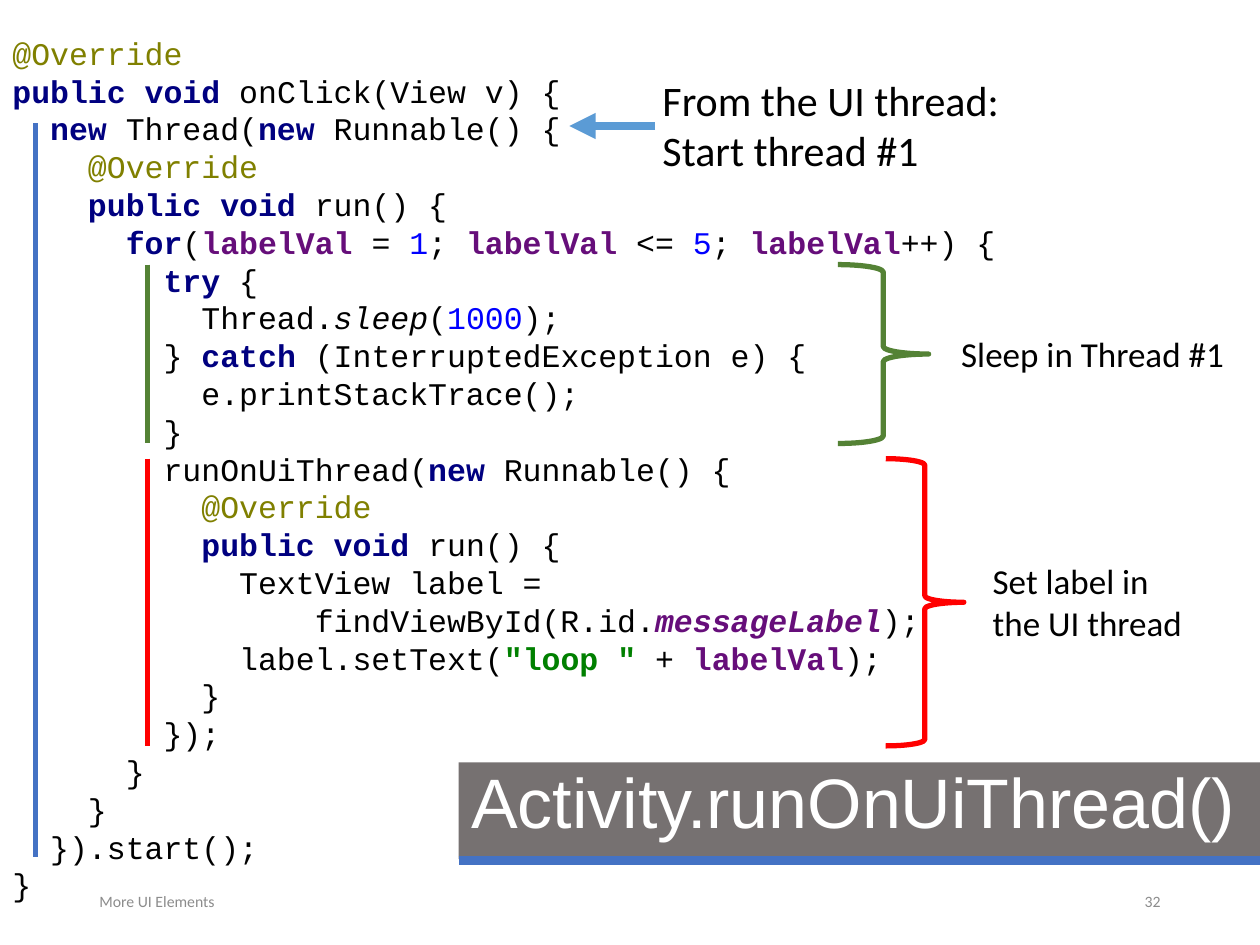
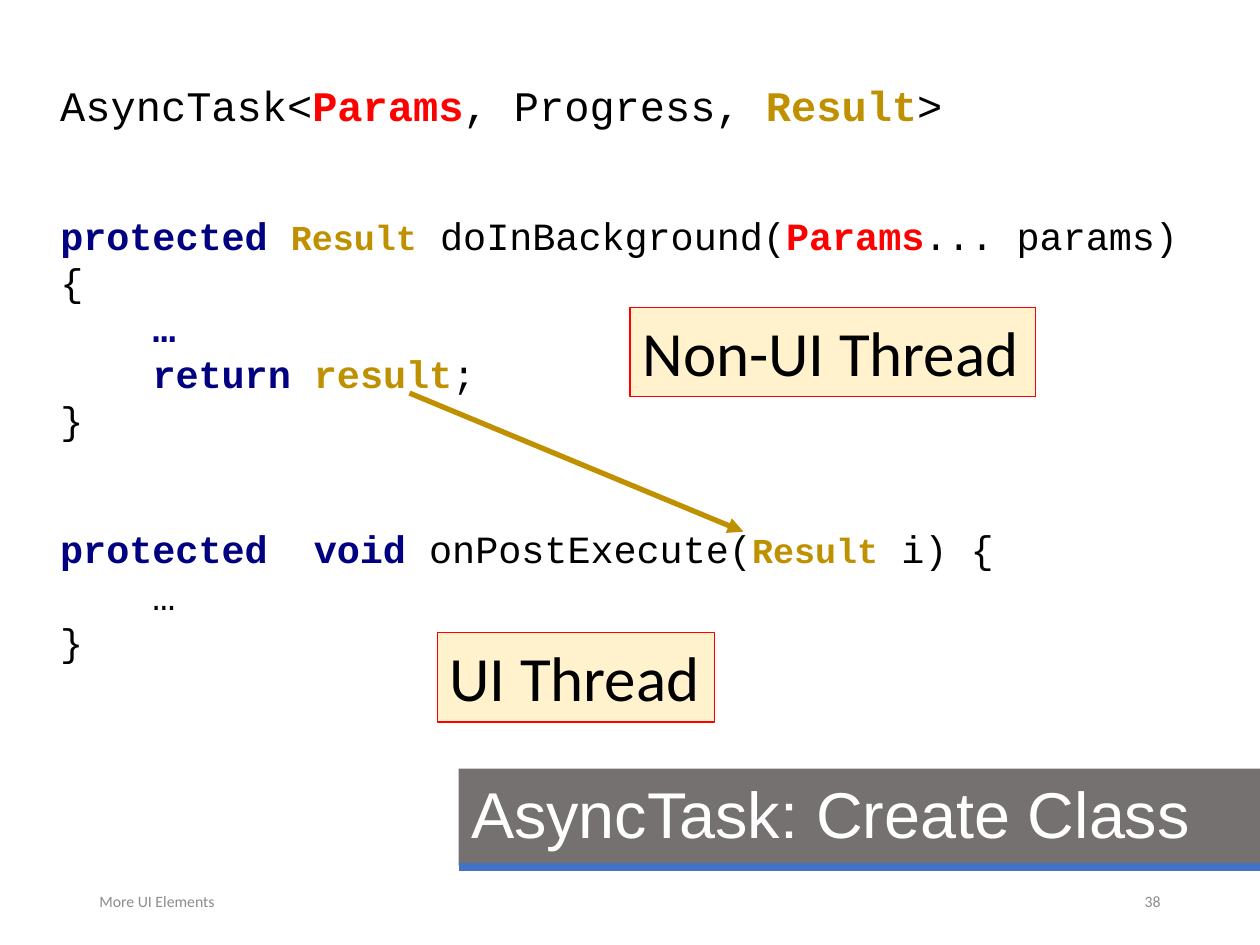
from pptx import Presentation
from pptx import util as u
from pptx.dml.color import RGBColor
from pptx.enum import shapes, text
from pptx.oxml.ns import qn
from lxml import etree

BLACK, WHITE, GREY = "000000", "FFFFFF", "8C8C8C"
BAND, BLUE, ARROW = "767171", "4472C4", "5B9BD5"
GREEN, RED, GOLD, CREAM = "548235", "FF0000", "BF9000", "FFF2CC"

SYNTAX = {
    "a": dict(color="808000"),
    "k": dict(color="000080", bold=True),
    "f": dict(color="660E7A", bold=True),
    "m": dict(color="660E7A", bold=True, italic=True),
    "n": dict(color="0000FF"),
    "s": dict(color="008000", bold=True),
    "i": dict(italic=True),
    "p": dict(color=RED, bold=True),
    "r": dict(color=GOLD, bold=True),
    "t": dict(color=GOLD, bold=True, size=20),
}

RUN_ON_UI = """\
|a@Override|
|kpublic void |onClick(View v) {
  |knew |Thread(|knew |Runnable() {
    |a@Override|
    |kpublic void |run() {
      |kfor|(|flabelVal |= |n1|; |flabelVal |<= |n5|; |flabelVal|++) {
        |ktry |{
          Thread.|isleep|(|n1000|);
        } |kcatch |(InterruptedException e) {
          e.printStackTrace();
        }
        runOnUiThread(|knew |Runnable() {
          |a@Override|
          |kpublic void |run() {
            TextView label =
                findViewById(R.id.|mmessageLabel|);
            label.setText(|s"loop " |+ |flabelVal|);
          }
        });
      }
    }
  }).start();
}"""

CLASS_HEAD = "AsyncTask<|pParams|, Progress, |rResult|>"

IN_BACKGROUND = """\
|kprotected ||tResult| doInBackground(|pParams|... params)
{
    |k…|
    |kreturn ||rresult|;
}"""

POST_EXECUTE = """\
|kprotected  void |onPostExecute(|tResult| i) {
    …
}"""


def rgb(value):
    return RGBColor.from_string(value)


class SlideMaker:
    def __init__(self):
        self.deck = Presentation()
        self.deck.slide_width = u.Inches(10)
        self.deck.slide_height = u.Inches(7.5)
        self.page = None

    def new_page(self, number):
        self.page = self.deck.slides.add_slide(self.deck.slide_layouts[6])
        footer = dict(size=9, color=GREY, anchor="MIDDLE")
        self.label((0.69, 6.95, 2.25, 0.4), "More UI Elements", **footer)
        self.label((7.06, 6.95, 2.25, 0.4), number, align="RIGHT", **footer)

    def add_span(self, para, words, **formats):
        span = para.add_run()
        span.text = words
        span.font.color.rgb = rgb(formats.pop("color", BLACK))
        span.font.size = u.Pt(formats.pop("size"))
        for name, value in formats.items():
            setattr(span.font, name, value)

    def add_lines(self, box, words, wrap=True, anchor="TOP"):
        frame = box.text_frame
        frame.word_wrap = wrap
        frame.vertical_anchor = text.MSO_ANCHOR[anchor]
        for index, line in enumerate(words.split("\n")):
            yield frame.add_paragraph() if index else frame.paragraphs[0], line

    def put_text(self, box, words, anchor="TOP", align="LEFT", spacing=None, wrap=True, **formats):
        for para, line in self.add_lines(box, words, wrap, anchor):
            para.alignment = text.PP_ALIGN[align]
            para.line_spacing = spacing
            self.add_span(para, line, **formats)

    def text_box(self, place):
        return self.page.shapes.add_textbox(*map(u.Inches, place))

    def label(self, place, words, **formats):
        self.put_text(self.text_box(place), words, name="Calibri", **formats)

    def code(self, place, listing, size):
        for para, line in self.add_lines(self.text_box(place), listing):
            for part, words in enumerate(line.split("|")):
                style = {}
                if part % 2:
                    style, words = SYNTAX[words[0]], words[1:]
                if words:
                    self.add_span(para, words, **{"name": "Courier New", "size": size, **style})

    def shape(self, kind, place, fill=None, line=None, width=3):
        shape = self.page.shapes.add_shape(
            shapes.MSO_SHAPE[kind], *map(u.Inches, place))
        shape.shadow.inherit = False
        if fill:
            shape.fill.solid()
            shape.fill.fore_color.rgb = rgb(fill)
        else:
            shape.fill.background()
        if line:
            shape.line.color.rgb = rgb(line)
            shape.line.width = u.Pt(width)
        else:
            shape.line.fill.background()
        return shape

    def line(self, start, end, color, width=3, arrow=False):
        line = self.page.shapes.add_connector(
            shapes.MSO_CONNECTOR.STRAIGHT, *map(u.Inches, start + end))
        line.line.color.rgb = rgb(color)
        line.line.width = u.Pt(width)
        properties = line._element.spPr
        if arrow:
            etree.SubElement(properties.find(qn("a:ln")), qn("a:tailEnd"), type="triangle")
        etree.SubElement(properties, qn("a:effectLst"))

    def title(self, words, top, size, anchor):
        band = self.shape("RECTANGLE", (3.64, top, 6.36, 0.77), fill=BAND)
        self.put_text(band, words, anchor=anchor, spacing=0.9,
                      name="Arial", size=size, color=WHITE)
        rule = top + 0.78
        self.line((3.64, rule), (10, rule), BLUE, 5)

    def tag(self, place, words):
        tag = self.shape("RECTANGLE", place, CREAM, RED, 0.75)
        self.put_text(tag, words, wrap=False, name="Calibri", size=36)


def build_run_on_ui(maker):
    maker.new_page("32")
    maker.code((0, 0.22, 10, 7.07), RUN_ON_UI, 18)
    maker.line((0.28, 0.98), (0.28, 6.8), BLUE)
    for color, top, bottom, brace_left, brace_width in (
        (GREEN, 2.1, 3.52, 6.65, 0.72),
        (RED, 3.64, 5.92, 7.03, 0.62),
    ):
        maker.line((1.17, top), (1.17, bottom), color)
        maker.shape("RIGHT_BRACE", (brace_left, top, brace_width, bottom - top), line=color)
    maker.line((5.2, 1), (4.52, 1), ARROW, 5, arrow=True)
    maker.label((5.16, 0.54, 2.97, 0.91), "From the UI thread:\nStart thread #1", size=24)
    maker.label((7.53, 2.59, 2.31, 0.44), "Sleep in Thread #1", size=20, wrap=False)
    maker.label((7.78, 4.39, 1.81, 0.77), "Set label in the UI thread", size=20)
    maker.title("Activity.runOnUiThread()", 6.05, 40, "TOP")


def build_async_task(maker):
    maker.new_page("38")
    maker.code((0.38, 0.58, 7.26, 0.5), CLASS_HEAD, 24)
    maker.code((0.38, 1.63, 9.25, 1.95), IN_BACKGROUND, 22)
    maker.code((0.38, 4.12, 8.73, 1.25), POST_EXECUTE, 22)
    maker.line((3.25, 3.12), (5.9, 4.22), GOLD, arrow=True)
    maker.tag((5, 2.44, 3.22, 0.71), "Non-UI Thread")
    maker.tag((3.47, 5.02, 2.2, 0.71), "UI Thread")
    maker.title("AsyncTask: Create Class", 6.1, 37, "MIDDLE")


def main():
    maker = SlideMaker()
    build_run_on_ui(maker)
    build_async_task(maker)
    maker.deck.save("out.pptx")


if __name__ == "__main__":
    main()
